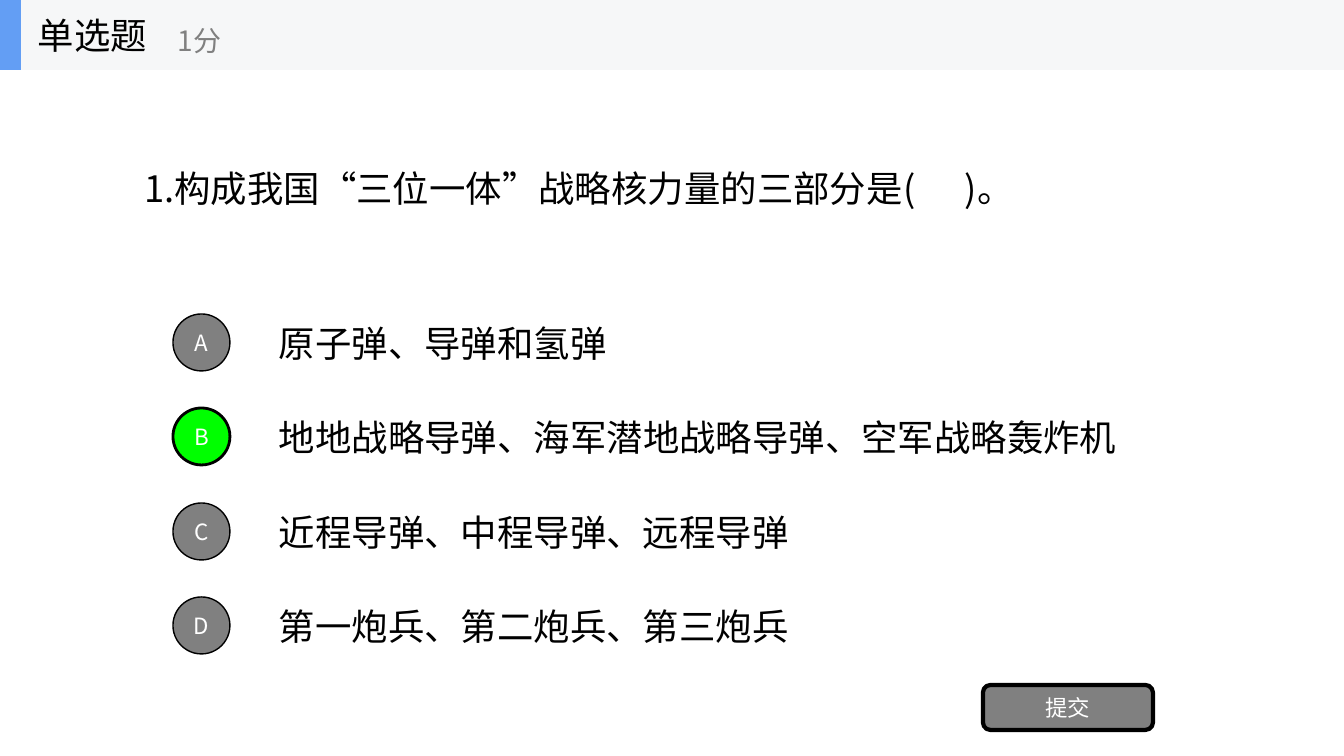
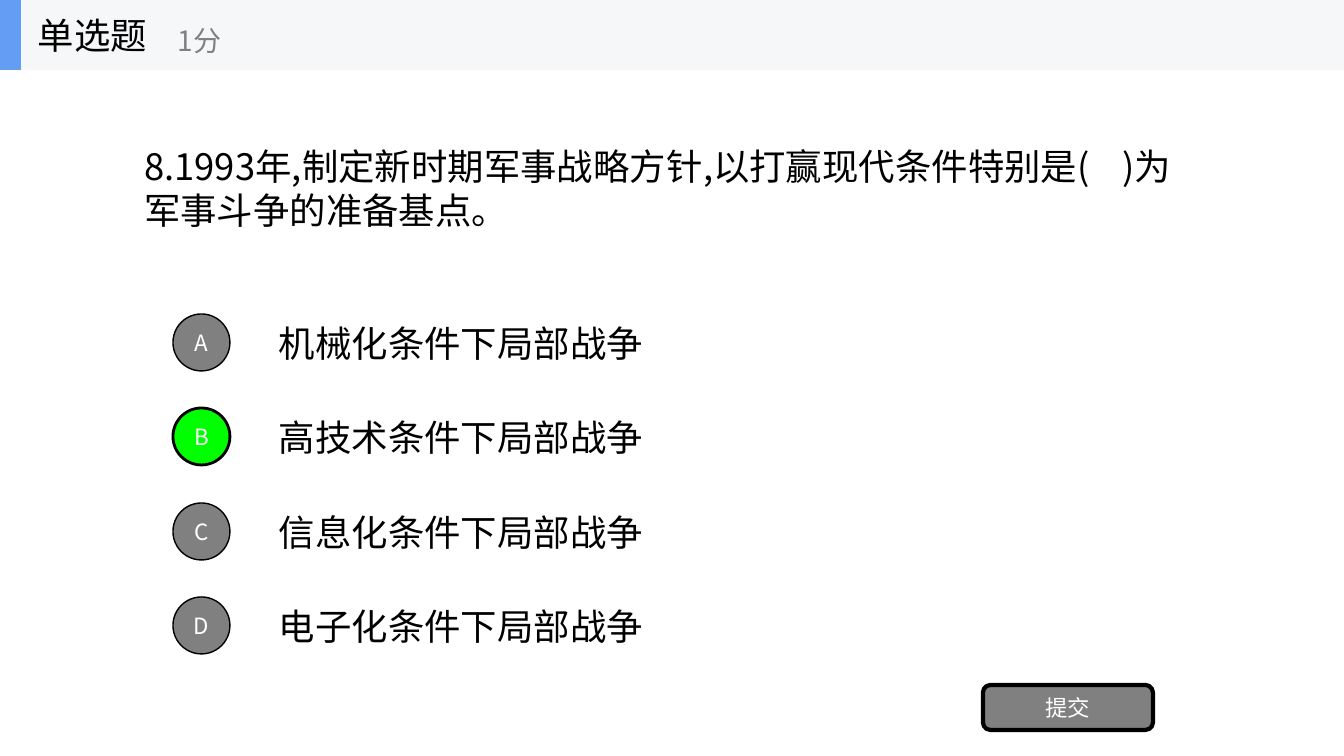
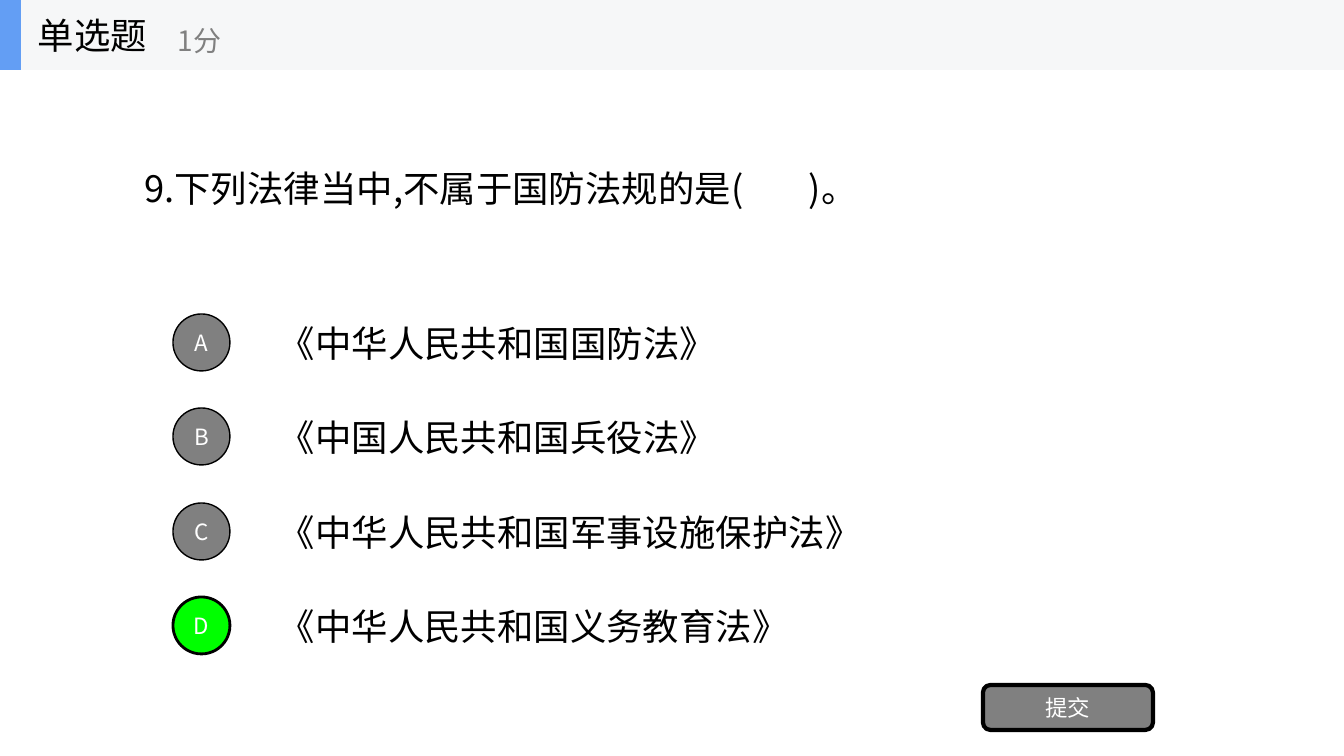
"""Builds three single-choice quiz slides on national defence."""
import dataclasses

import lxml.etree
import pptx
import pptx.dml.color
import pptx.enum.shapes
import pptx.enum.text
import pptx.oxml.ns
import pptx.util


@dataclasses.dataclass(frozen=True)
class Theme:
    font: str = "Noto Sans CJK SC"
    ink: str = "000000"
    paper: str = "FFFFFF"
    grey: str = "808080"
    correct: str = "00FF00"
    band: str = "F6F7F8"
    accent: str = "639EF4"
    large: int = 26
    medium: int = 20
    small: int = 16


THEME = Theme()
SHAPES = pptx.enum.shapes.MSO_SHAPE
ALIGN = pptx.enum.text.PP_ALIGN
EMU_PER_PX = 914400 / 100.8


def px(*lengths):
    return [pptx.util.Emu(round(length * EMU_PER_PX)) for length in lengths]


def write(shape, text, size=THEME.large, color=THEME.ink, align=ALIGN.LEFT,
          fill=None, outline=0):
    if fill:
        shape.shadow.inherit = False
        shape.fill.solid()
        shape.fill.fore_color.rgb = pptx.dml.color.RGBColor.from_string(fill)
        if outline:
            shape.line.color.rgb = pptx.dml.color.RGBColor.from_string(THEME.ink)
            shape.line.width = pptx.util.Pt(outline)
        else:
            shape.line.fill.background()
    if not text:
        return
    frame = shape.text_frame
    frame.word_wrap = True
    frame.auto_size = pptx.enum.text.MSO_AUTO_SIZE.NONE
    frame.vertical_anchor = pptx.enum.text.MSO_ANCHOR.MIDDLE
    paragraph = frame.paragraphs[0]
    paragraph.alignment = align
    run = paragraph.add_run()
    run.text = text
    run.font.size = pptx.util.Pt(size)
    run.font.color.rgb = pptx.dml.color.RGBColor.from_string(color)
    run.font.name = THEME.font
    lxml.etree.SubElement(run.font._element, pptx.oxml.ns.qn("a:ea"), typeface=THEME.font)


QUESTIONS = [
    ("1.构成我国“三位一体”战略核力量的三部分是(      )。", 914, "B",
     ["原子弹、导弹和氢弹", "地地战略导弹、海军潜地战略导弹、空军战略轰炸机",
      "近程导弹、中程导弹、远程导弹", "第一炮兵、第二炮兵、第三炮兵"]),
    ("8.1993年,制定新时期军事战略方针,以打赢现代条件特别是(    )为军事斗争的准备基点。", 1058, "B",
     ["机械化条件下局部战争", "高技术条件下局部战争",
      "信息化条件下局部战争", "电子化条件下局部战争"]),
    ("9.下列法律当中,不属于国防法规的是(        )。", 763, "D",
     ["《中华人民共和国国防法》", "《中国人民共和国兵役法》",
      "《中华人民共和国军事设施保护法》", "《中华人民共和国义务教育法》"]),
]

deck = pptx.Presentation()
deck.slide_width, deck.slide_height = px(1344, 756)
title_only = deck.slide_layouts[5]

for question, question_width, answer, options in QUESTIONS:
    slide = deck.slides.add_slide(title_only)
    shapes = slide.shapes

    for width, fill in [(1344, THEME.band), (21, THEME.accent)]:
        write(shapes.add_shape(SHAPES.RECTANGLE, *px(0, 0, width, 70)), "", fill=fill)
    write(shapes.add_textbox(*px(28, 0, 210, 70)), "单选题")
    write(shapes.add_textbox(*px(168, 12, 252, 56)), "1分",
          size=THEME.medium, color=THEME.grey)

    heading = shapes.title
    heading.left, heading.top, heading.width, heading.height = px(134, 139, question_width, 98)
    write(heading, question)

    for row, (letter, option) in enumerate(zip("ABCD", options)):
        top = 314 + row * 189 // 2
        label_width = len(option) * 364 // 10 + 32
        write(shapes.add_textbox(*px(269, top + 2, label_width, 53)), option)
        chosen = letter == answer
        write(shapes.add_shape(SHAPES.OVAL, *px(173, top, 57, 57)), letter,
              size=THEME.small, color=THEME.paper, align=ALIGN.CENTER,
              fill=THEME.correct if chosen else THEME.grey, outline=2 if chosen else 1)

    write(shapes.add_shape(SHAPES.ROUNDED_RECTANGLE, *px(983, 685, 170, 45)), "提交",
          size=THEME.small, color=THEME.paper, align=ALIGN.CENTER,
          fill=THEME.grey, outline=3)

deck.save("out.pptx")
